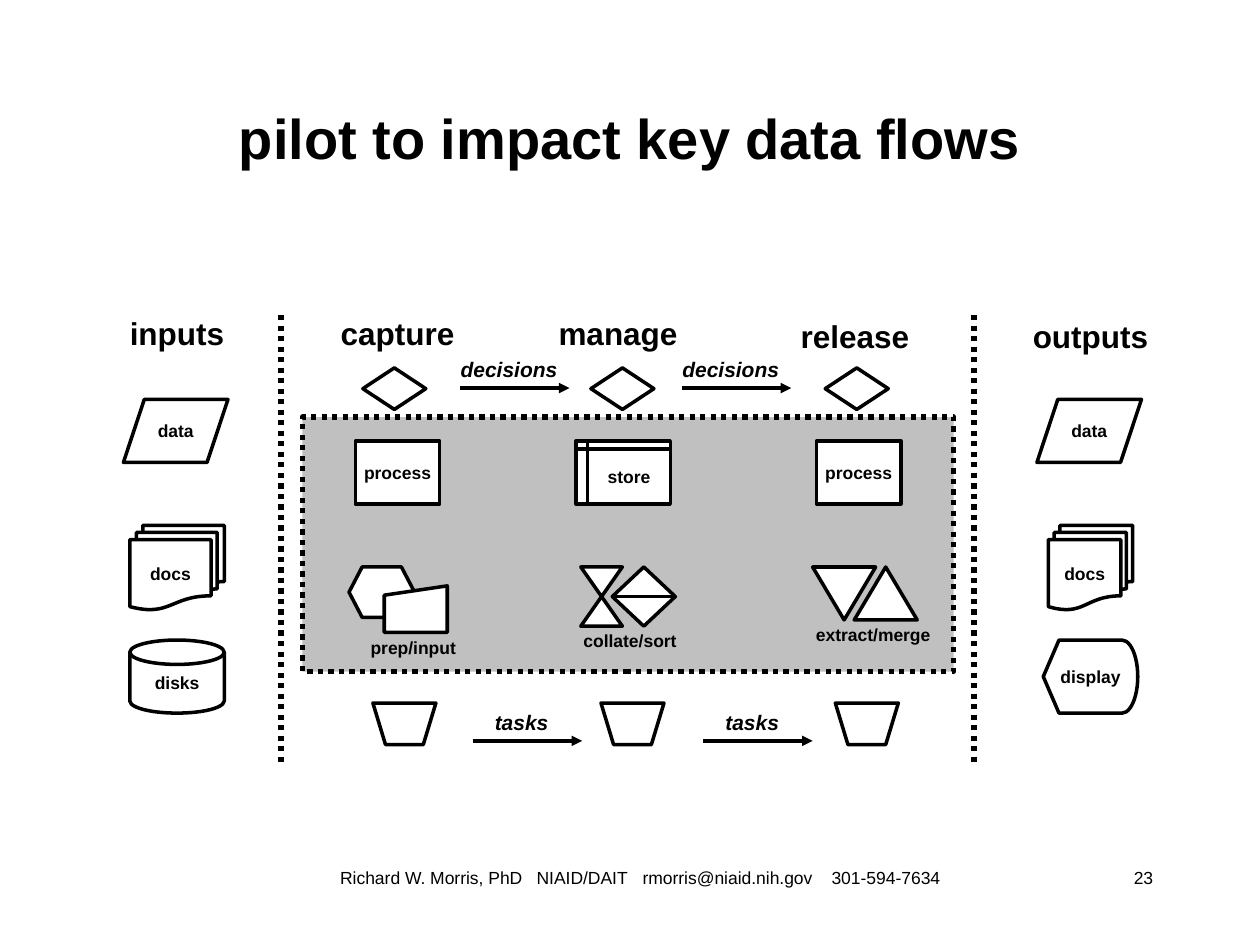
import dataclasses

import pptx
import pptx.dml.color
import pptx.enum.dml
import pptx.enum.shapes
import pptx.enum.text
import pptx.oxml
import pptx.oxml.ns
import pptx.util

Inches = pptx.util.Inches
Pt = pptx.util.Pt
Flow = pptx.enum.shapes.MSO_SHAPE
Align = pptx.enum.text.PP_ALIGN
Anchor = pptx.enum.text.MSO_ANCHOR


@dataclasses.dataclass(frozen=True)
class Theme:
    font: str = "Arial"
    ink: str = "000000"
    paper: str = "FFFFFF"
    band: str = "C0C0C0"
    title: int = 32
    heading: int = 18
    flow: int = 12
    label: int = 10
    outline: int = 2
    border: int = 3


THEME = Theme()


def color(code):
    return pptx.dml.color.RGBColor.from_string(code)


def write(shape, text, size, align=Align.CENTER, anchor=Anchor.MIDDLE,
          bold=True, italic=False, wrap=False):
    frame = shape.text_frame
    frame.word_wrap = wrap
    frame.vertical_anchor = anchor
    paragraph = frame.paragraphs[0]
    paragraph.alignment = align
    run = paragraph.add_run()
    run.text = text
    run.font.name = THEME.font
    run.font.size = Pt(size)
    run.font.bold = bold
    run.font.italic = italic
    run.font.color.rgb = color(THEME.ink)


def add_text(slide, x, y, w, h, text, size, **style):
    box = slide.shapes.add_textbox(Inches(x), Inches(y), Inches(w), Inches(h))
    write(box, text, size, **style)
    return box


def draw_line(line, width, dotted=False):
    line.color.rgb = color(THEME.ink)
    line.width = Pt(width)
    if dotted:
        line.dash_style = pptx.enum.dml.MSO_LINE.ROUND_DOT


def add_symbol(slide, kind, x, y, w, h, text=""):
    symbol = slide.shapes.add_shape(kind, Inches(x), Inches(y), Inches(w), Inches(h))
    symbol.shadow.inherit = False
    symbol.fill.solid()
    symbol.fill.fore_color.rgb = color(THEME.paper)
    draw_line(symbol.line, THEME.outline)
    if text:
        write(symbol, text, THEME.label)
    return symbol


def add_line(slide, x1, y1, x2, y2, width, dotted=False, arrow=False):
    line = slide.shapes.add_connector(
        pptx.enum.shapes.MSO_CONNECTOR.STRAIGHT,
        Inches(x1), Inches(y1), Inches(x2), Inches(y2))
    draw_line(line.line, width, dotted)
    if arrow:
        head = pptx.oxml.parse_xml(
            f'<a:tailEnd {pptx.oxml.ns.nsdecls("a")} type="triangle"/>')
        line.line._get_or_add_ln().append(head)
    line._element.spPr.append(
        pptx.oxml.parse_xml(f'<a:effectLst {pptx.oxml.ns.nsdecls("a")}/>'))


def add_heading(slide, x, y, text):
    add_text(slide, x, y, 1.35, 0.45, text, THEME.heading)


def add_band(slide, x, y, w, h):
    band = add_symbol(slide, Flow.RECTANGLE, x, y, w, h)
    band.fill.fore_color.rgb = color(THEME.band)
    draw_line(band.line, THEME.border, dotted=True)


def add_stage(slide, x, y, stage):
    """One stage: heading, decision, main step, detail symbols and task."""
    add_heading(slide, x, y + stage["heading_drop"], stage["heading"])
    decision_x = x + stage["decision"]
    add_symbol(slide, Flow.FLOWCHART_DECISION, decision_x, y + 0.5, 0.5, 0.33)
    kind, dx, w, text = stage["step"]
    add_symbol(slide, kind, x + dx, y + 1.08, w, 0.5, text)
    for kind, dx, dy, w, h in stage["details"]:
        add_symbol(slide, kind, x + dx, y + dy, w, h)
    text, dx, dy, w = stage["caption"]
    add_text(slide, x + dx, y + dy, w, 0.27, text, THEME.label, anchor=Anchor.TOP)
    add_symbol(slide, Flow.FLOWCHART_MANUAL_OPERATION,
               decision_x + 0.08, y + 3.16, 0.5, 0.33)


def add_flow(slide, x, y, text):
    """Arrow with its label above it, set slightly towards the tail."""
    length = 0.87
    add_line(slide, x, y + 0.3, x + length, y + 0.3, THEME.outline, arrow=True)
    add_text(slide, x - 0.1, y, length + 0.11, 0.3, text, THEME.flow,
             anchor=Anchor.TOP, italic=True)


def add_side(slide, x, y, side):
    """Outer column: heading over three media symbols."""
    add_heading(slide, x, y + side["heading_drop"], side["heading"])
    for kind, dx, dy, w, h, text in side["media"]:
        add_symbol(slide, kind, x + dx, y + dy, w, h, text)


def add_footer(slide, x, y, w, h):
    page_width = 1.58
    contact = add_text(
        slide, x, y, w - page_width, h,
        "Richard W. Morris, PhD\tNIAID/DAIT\trmorris@niaid.nih.gov\t301-594-7634",
        THEME.label, align=Align.LEFT, anchor=Anchor.TOP, bold=False, wrap=True)
    contact.text_frame.margin_left = Inches(0.2)
    stops = "".join(f'<a:tab pos="{Inches(stop)}" algn="l"/>'
                    for stop in (1.56, 2.4, 3.9))
    contact.text_frame.paragraphs[0]._p.get_or_add_pPr().insert(
        0, pptx.oxml.parse_xml(
            f'<a:tabLst {pptx.oxml.ns.nsdecls("a")}>{stops}</a:tabLst>'))
    add_text(slide, x + w - page_width, y, page_width, h, "23", THEME.label,
             align=Align.RIGHT, anchor=Anchor.TOP, bold=False, wrap=True)


STAGES = {
    2.48: dict(
        heading="capture", heading_drop=0, decision=0.4,
        step=(Flow.FLOWCHART_PROCESS, 0.34, 0.67, "process"),
        details=[(Flow.FLOWCHART_PREPARATION, 0.29, 2.08, 0.52, 0.4),
                 (Flow.FLOWCHART_MANUAL_INPUT, 0.57, 2.23, 0.5, 0.37)],
        caption=("prep/input", 0.25, 2.59, 1.1)),
    4.23: dict(
        heading="manage", heading_drop=0, decision=0.46,
        step=(Flow.FLOWCHART_INTERNAL_STORAGE, 0.34, 0.75, "store"),
        details=[(Flow.FLOWCHART_COLLATE, 0.38, 2.08, 0.33, 0.47),
                 (Flow.FLOWCHART_SORT, 0.63, 2.08, 0.5, 0.47)],
        caption=("collate/sort", 0.17, 2.53, 1.2)),
    6.11: dict(
        heading="release", heading_drop=0.02, decision=0.44,
        step=(Flow.FLOWCHART_PROCESS, 0.37, 0.67, "process"),
        details=[(Flow.FLOWCHART_MERGE, 0.34, 2.08, 0.5, 0.42),
                 (Flow.FLOWCHART_EXTRACT, 0.67, 2.08, 0.5, 0.42)],
        caption=("extract/merge", 0.17, 2.48, 1.3)),
}
SIDES = {
    0.73: dict(heading="inputs", heading_drop=0, media=[
        (Flow.FLOWCHART_DATA, 0.25, 0.75, 0.83, 0.5, "data"),
        (Flow.FLOWCHART_MULTIDOCUMENT, 0.3, 1.75, 0.75, 0.67, "docs"),
        (Flow.FLOWCHART_MAGNETIC_DISK, 0.3, 2.66, 0.75, 0.58, "disks")]),
    7.98: dict(heading="outputs", heading_drop=0.02, media=[
        (Flow.FLOWCHART_DATA, 0.25, 0.75, 0.83, 0.5, "data"),
        (Flow.FLOWCHART_MULTIDOCUMENT, 0.34, 1.75, 0.67, 0.67, "docs"),
        (Flow.FLOWCHART_DISPLAY, 0.3, 2.66, 0.75, 0.58, "display")]),
}
FLOWS = [(3.65, 2.78, "decisions"), (5.41, 2.78, "decisions"),
         (3.75, 5.58, "tasks"), (5.58, 5.58, "tasks")]


def main():
    deck = pptx.Presentation()
    deck.slide_width, deck.slide_height = Inches(10), Inches(7.5)
    slide = deck.slides.add_slide(deck.slide_layouts[6])
    top = 2.42
    add_text(slide, 0.75, 0.67, 8.5, 0.83, "pilot to impact key data flows",
             THEME.title, wrap=True)
    add_band(slide, 2.4, 3.31, 5.17, 2.02)
    for x, stage in STAGES.items():
        add_stage(slide, x, top, stage)
    for x, side in SIDES.items():
        add_side(slide, x, top, side)
    for x in (2.23, 7.73):
        add_line(slide, x, 2.5, x, 6.08, THEME.border, dotted=True)
    for x, y, text in FLOWS:
        add_flow(slide, x, y, text)
    add_footer(slide, 2.5, 6.83, 6.75, 0.5)
    deck.save("out.pptx")


if __name__ == "__main__":
    main()
